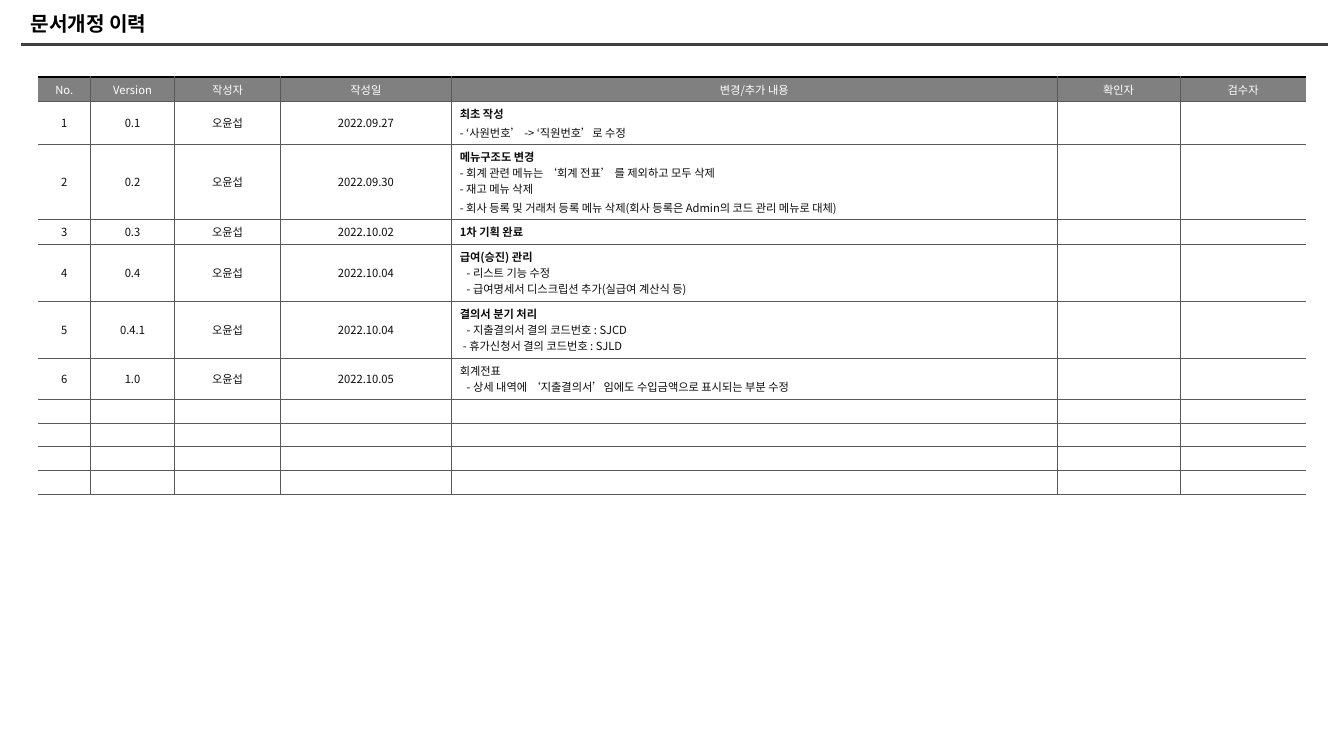
import lxml.etree
import pptx
import pptx.dml.color
import pptx.enum.text
import pptx.oxml.ns
import pptx.util
from pptx.util import Cm

COLORS = {
    "rule": "404040",
    "grid": "595959",
    "header": "808080",
    "header_text": "FFFFFF",
    "body_text": "0D0D0D",
    "black": "000000",
}
FONT = "Noto Sans CJK KR"
CENTER = pptx.enum.text.PP_ALIGN.CENTER
LEFT = pptx.enum.text.PP_ALIGN.LEFT
MIDDLE = pptx.enum.text.MSO_ANCHOR.MIDDLE

HEADINGS = ["No.", "Version", "작성자", "작성일", "변경/추가 내용", "확인자", "검수자"]
COLUMN_WIDTHS = [0.99, 1.59, 2.0, 3.23, 11.45, 2.32, 2.39]
LINE_ROW = 0.45
EMPTY_ROWS = 4
AUTHOR = "오윤섭"
INDENT = 0.13

# Each change line holds text, bold, left indent in cm and space before in points.
REVISIONS = [
    ("0.1", "2022.09.27", 0.79, [
        ("최초 작성", True, 0, 0),
        ("- ‘사원번호’ -> ‘직원번호’로 수정", False, 0, 1.2),
    ]),
    ("0.2", "2022.09.30", 1.4, [
        ("메뉴구조도 변경", True, 0, 0),
        ("- 회계 관련 메뉴는 ‘회계 전표’ 를 제외하고 모두 삭제", False, 0, 0),
        ("- 재고 메뉴 삭제", False, 0, 0),
        ("- 회사 등록 및 거래처 등록 메뉴 삭제(회사 등록은 Admin의 코드 관리 메뉴로 대체)",
         False, 0, 1.2),
    ]),
    ("0.3", "2022.10.02", LINE_ROW, [("1차 기획 완료", True, 0, 0)]),
    ("0.4", "2022.10.04", 1.06, [
        ("급여(승진) 관리", True, 0, 0),
        ("- 리스트 기능 수정", False, INDENT, 0),
        ("- 급여명세서 디스크립션 추가(실급여 계산식 등)", False, INDENT, 0),
    ]),
    ("0.4.1", "2022.10.04", 1.06, [
        ("결의서 분기 처리", True, 0, 0),
        ("- 지출결의서 결의 코드번호 : SJCD", False, INDENT, 0),
        ("- 휴가신청서 결의 코드번호 : SJLD", False, 0.06, 0),
    ]),
    ("1.0", "2022.10.05", 0.76, [
        ("회계전표", False, 0, 0),
        ("- 상세 내역에 ‘지출결의서’임에도 수입금액으로 표시되는 부분 수정", False, INDENT, 0),
    ]),
]


def rgb(name):
    """Return the named colour."""
    return pptx.dml.color.RGBColor.from_string(COLORS[name])


def add_element(parent, tag, **attributes):
    """Append a drawing element to its parent."""
    return lxml.etree.SubElement(parent, pptx.oxml.ns.qn(tag), **attributes)


def style_paragraph(para, size, color, bold=False):
    """Set the font of a whole paragraph for Latin and Korean text."""
    para.font.size = pptx.util.Pt(size)
    para.font.bold = bold
    para.font.color.rgb = rgb(color)
    para.font.name = FONT
    properties = para._p.pPr.find(pptx.oxml.ns.qn("a:defRPr"))
    add_element(properties, "a:ea", typeface=FONT)


def add_title(page, left, top, width, height):
    """Place the page title in the given box."""
    box = page.shapes.add_textbox(Cm(left), Cm(top), Cm(width), Cm(height))
    frame = box.text_frame
    frame.word_wrap = True
    frame.vertical_anchor = MIDDLE
    para = frame.paragraphs[0]
    para.text = "문서개정 이력"
    style_paragraph(para, 10.8, "black", True)


def add_title_rule(page, left, top, width):
    """Draw the rule under the title."""
    rule = page.shapes.add_connector(
        pptx.enum.shapes.MSO_CONNECTOR.STRAIGHT,
        Cm(left), Cm(top), Cm(left + width), Cm(top))
    rule.line.color.rgb = rgb("rule")
    rule.line.width = pptx.util.Pt(1.5)
    add_element(rule._element.spPr, "a:effectLst")


def set_borders(cell, borders):
    """Draw left, right, top and bottom borders given as colour and points."""
    properties = cell._tc.get_or_add_tcPr()
    for index, (side, border) in enumerate(zip("LRTB", borders)):
        points = border[1] if border else 0
        line = add_element(properties, f"a:ln{side}", w=str(int(pptx.util.Pt(points))))
        if border:
            fill = add_element(line, "a:solidFill")
            add_element(fill, "a:srgbClr", val=COLORS[border[0]])
        else:
            add_element(line, "a:noFill")
        properties.insert(index, line)


def fill_cell(cell, lines, align, color):
    """Write the lines of a cell, one paragraph each."""
    cell.vertical_anchor = MIDDLE
    cell.margin_left = cell.margin_right = Cm(0.16)
    cell.margin_top = cell.margin_bottom = Cm(0.08)
    frame = cell.text_frame
    for index, (text, bold, indent, space) in enumerate(lines):
        para = frame.add_paragraph() if index else frame.paragraphs[0]
        para.text = text
        para.alignment = align
        if space:
            para.space_before = pptx.util.Pt(space)
        if indent:
            para._p.get_or_add_pPr().set("marL", str(int(Cm(indent))))
        style_paragraph(para, 6, color, bold)
    if not lines:
        add_element(frame.paragraphs[0]._p, "a:endParaRPr", sz="600")


def add_history_table(page, left, top, width):
    """Place the revision table with its top left corner and width."""
    def plain(text):
        return [(text, False, 0, 0)]

    rows = [[plain(heading) for heading in HEADINGS]]
    for number, (version, date, _, changes) in enumerate(REVISIONS, 1):
        details = [plain(text) for text in (str(number), version, AUTHOR, date)]
        rows.append(details + [changes, [], []])
    rows += [[[] for _ in HEADINGS] for _ in range(EMPTY_ROWS)]
    heights = [LINE_ROW] + [entry[2] for entry in REVISIONS] + [LINE_ROW] * EMPTY_ROWS

    table = page.shapes.add_table(
        len(rows), len(HEADINGS), Cm(left), Cm(top), Cm(width), Cm(sum(heights))).table
    table.first_row = False
    table.horz_banding = False
    scale = width / sum(COLUMN_WIDTHS)
    for column, column_width in zip(table.columns, COLUMN_WIDTHS):
        column.width = Cm(column_width * scale)

    grid = ("grid", 0.25)
    last = len(HEADINGS) - 1
    for row_index, row in enumerate(rows):
        table.rows[row_index].height = Cm(heights[row_index])
        header = row_index == 0
        for column_index, lines in enumerate(row):
            cell = table.cell(row_index, column_index)
            if header:
                cell.fill.solid()
                cell.fill.fore_color.rgb = rgb("header")
            else:
                cell.fill.background()
            align = LEFT if column_index == 4 and not header else CENTER
            fill_cell(cell, lines, align, "header_text" if header else "body_text")
            set_borders(cell, [
                grid if column_index > 0 else None,
                grid if column_index < last else None,
                ("black", 1) if header else grid,
                grid,
            ])


def main():
    """Build the revision history page."""
    deck = pptx.Presentation()
    deck.slide_width = Cm(25.4)
    deck.slide_height = Cm(14.29)
    page = deck.slides.add_slide(deck.slide_layouts[6])
    add_title_rule(page, 0.39, 0.84, 24.71)
    add_history_table(page, 0.72, 1.45, 23.97)
    add_title(page, 0.33, 0.07, 22.86, 0.76)
    deck.save("out.pptx")


if __name__ == "__main__":
    main()
